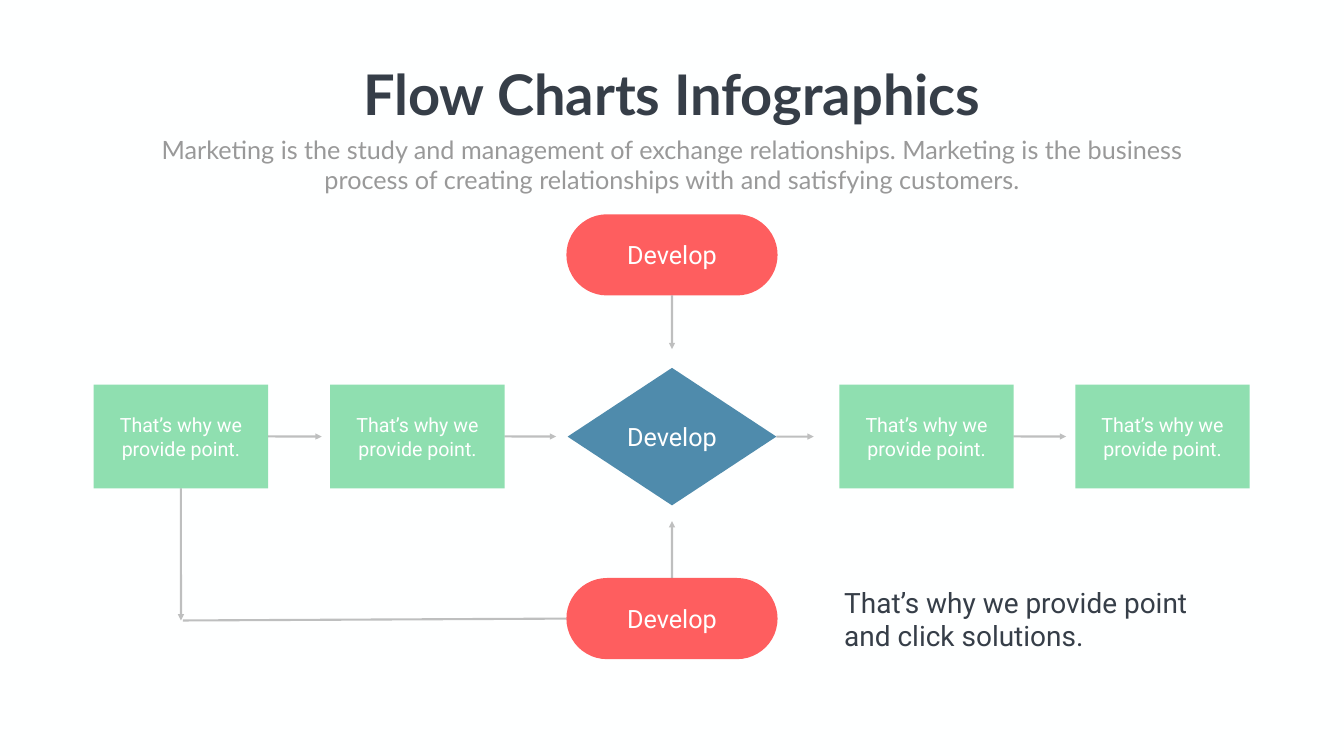
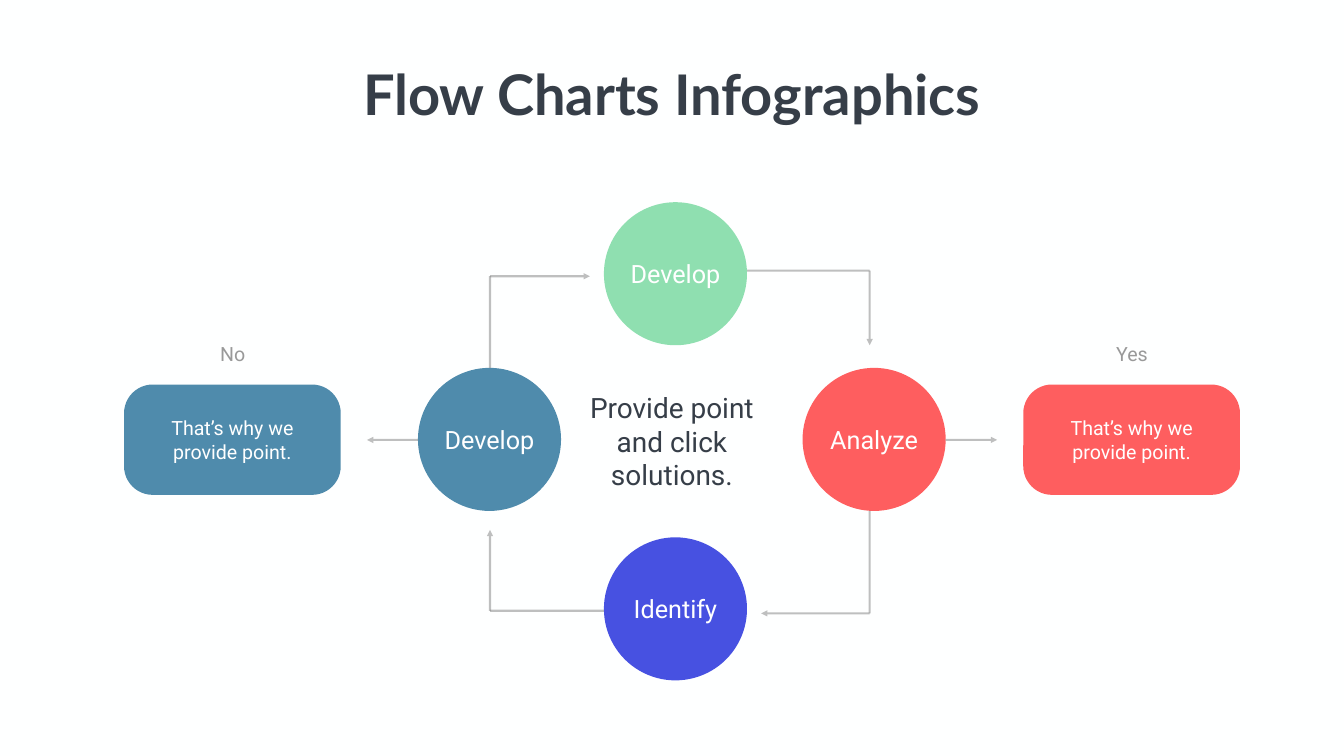
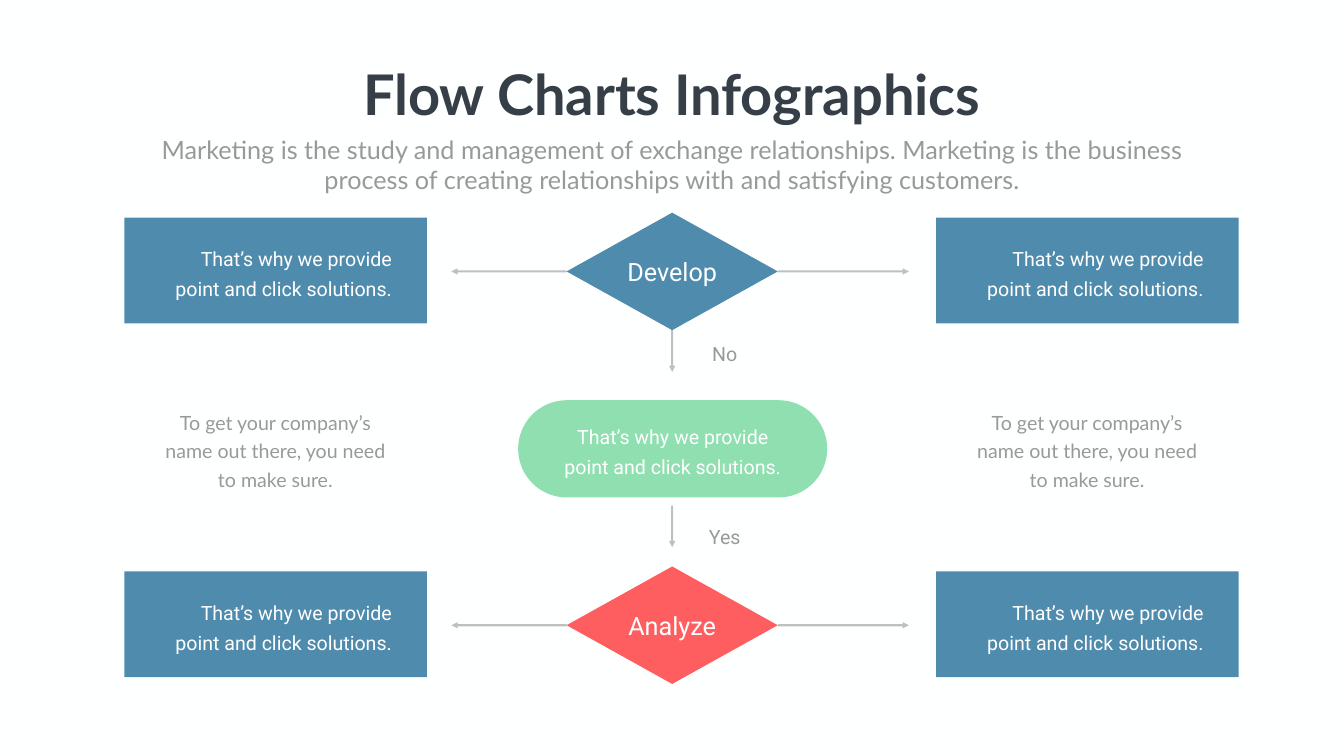
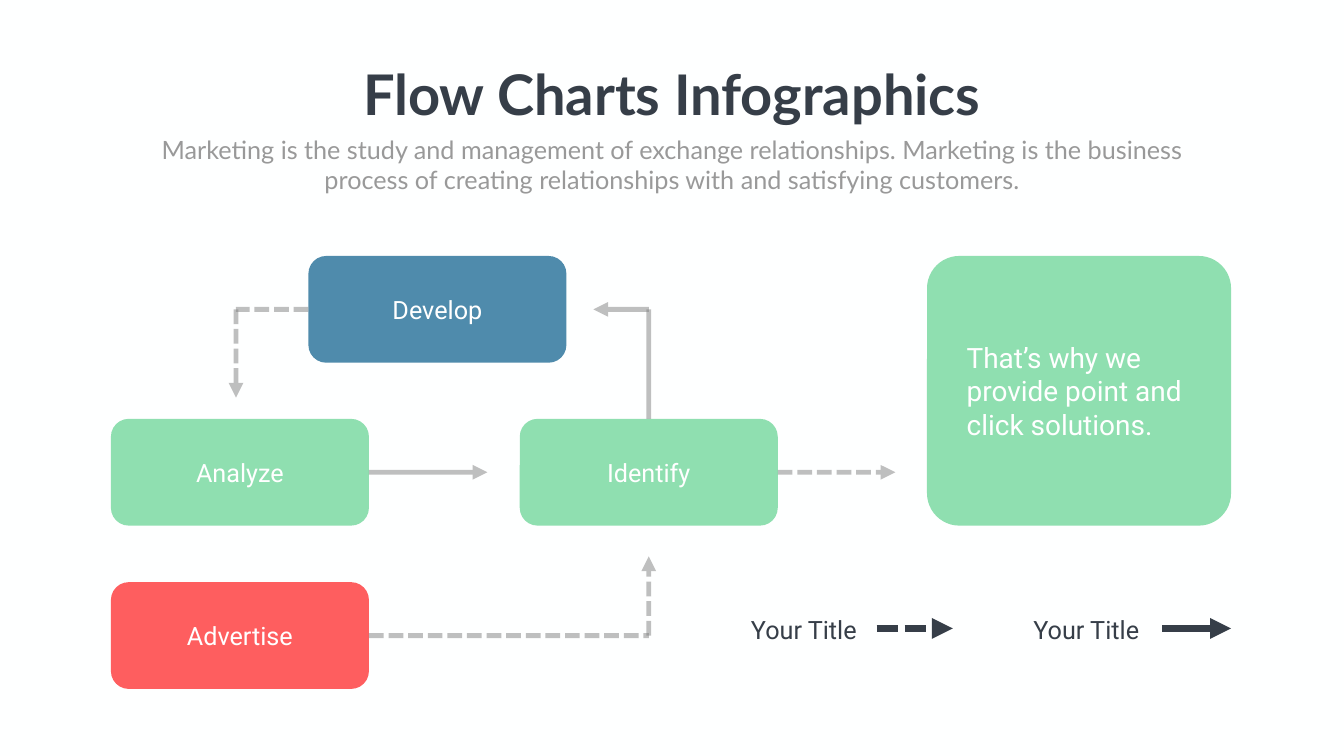
from lxml import etree
from pptx import Presentation
from pptx.dml.color import RGBColor
from pptx.enum.shapes import MSO_CONNECTOR, MSO_SHAPE
from pptx.enum.text import MSO_ANCHOR, PP_ALIGN
from pptx.oxml.ns import qn
from pptx.util import Cm, Pt

RECT = MSO_SHAPE.RECTANGLE
ROUNDED = MSO_SHAPE.ROUNDED_RECTANGLE
DIAMOND = MSO_SHAPE.DIAMOND
CIRCLE = MSO_SHAPE.OVAL
STRAIGHT = MSO_CONNECTOR.STRAIGHT
MIDDLE = MSO_ANCHOR.MIDDLE
LEFT, CENTER, RIGHT = PP_ALIGN.LEFT, PP_ALIGN.CENTER, PP_ALIGN.RIGHT
TOP_SIDE, LEFT_SIDE, BOTTOM_SIDE, RIGHT_SIDE = range(4)

COLORS = {
    "paper": "FEFFFF", "white": "FFFFFF", "ink": "363E48", "muted": "999999",
    "arrow": "808080", "green": "8FDFB0", "blue": "4F8BAC", "red": "FE5E5F",
    "indigo": "4751E1",
}
TITLE = "Flow Charts Infographics"
SUBTITLE = ("Marketing is the study and management of exchange relationships. "
            "Marketing is the business process of creating relationships with "
            "and satisfying customers.")
SHORT = "That’s why we provide point."
LONG = "That’s why we provide point and click solutions."
COMPANY = "To get your company’s name out there, you need to make sure."


def add_box(slide, box, text, size=36, color="white", kind=None, fill=None, corner=None,
            font="Roboto", align=CENTER, bold=False, wrap=True, inset=0.25, spacing=None):
    """Place a text box, or a filled shape with its label when kind is given."""
    place = [Cm(length) for length in box]
    if kind is None:
        item = slide.shapes.add_textbox(*place)
    else:
        item = slide.shapes.add_shape(kind, *place)
        item.shadow.inherit = False
        item.fill.solid()
        item.fill.fore_color.rgb = RGBColor.from_string(COLORS[fill])
        item.line.fill.background()
        if corner is not None:
            item.adjustments[0] = corner
    frame = item.text_frame
    frame.word_wrap = wrap
    frame.vertical_anchor = MIDDLE
    frame.margin_left = frame.margin_right = Cm(inset)
    paragraph = frame.paragraphs[0]
    paragraph.text = text
    paragraph.alignment = align
    if spacing:
        paragraph.line_spacing = Pt(spacing)
    paragraph.font.name = font
    paragraph.font.size = Pt(size)
    paragraph.font.bold = bold
    paragraph.font.color.rgb = RGBColor.from_string(COLORS[color])
    return item


def add_route(slide, *points, start=None, width=3, color="arrow", opacity=50,
              dashed=False, arrow=True):
    """Draw straight connectors through points; start is a (shape, side) to join."""
    if start:
        points = points[:1] + points
    for leg, (begin, end) in enumerate(zip(points, points[1:])):
        line = slide.shapes.add_connector(STRAIGHT, *[Cm(v) for v in begin + end])
        if start and leg == 0:
            line.begin_connect(*start)
        line.line.width = Pt(width)
        line.line.color.rgb = RGBColor.from_string(COLORS[color])
        outline = line.line._get_or_add_ln()
        if opacity < 100:
            tint = outline.find(".//" + qn("a:srgbClr"))
            etree.SubElement(tint, qn("a:alpha"), val=str(opacity * 1000))
        if dashed:
            etree.SubElement(outline, qn("a:prstDash"), val="sysDash")
        if arrow and leg == len(points) - 2:
            etree.SubElement(outline, qn("a:tailEnd"), type="triangle")
        etree.SubElement(line._element.spPr, qn("a:effectLst"))


prs = Presentation()
prs.slide_width, prs.slide_height = Cm(67.72), Cm(38.1)
paper = prs.slide_master.background.fill
paper.solid()
paper.fore_color.rgb = RGBColor.from_string(COLORS["paper"])

# Shared headings; the cycle slide has no subtitle
slides = []
for has_subtitle in (True, False, True, True):
    slide = prs.slides.add_slide(prs.slide_layouts[6])
    add_box(slide, (17.73, 2.84, 32.26, 3.68), TITLE, 80, "ink", font="Lato",
            bold=True, wrap=False)
    if has_subtitle:
        add_box(slide, (7.42, 6.63, 52.88, 3.33), SUBTITLE, 36, "muted", font="Lato")
    slides.append(slide)
decision, cycle, branches, process = slides

# Slide 1: a row of steps around one decision
steps = [add_box(decision, (x, 19.38, 8.79, 5.23), SHORT, 28, kind=RECT, fill="green",
                 inset=0.92)
         for x in (4.72, 16.64, 42.29, 54.18)]
hub = add_box(decision, (28.6, 18.54, 10.52, 6.93), "Develop", kind=DIAMOND, fill="blue",
              wrap=False)
upper, lower = [add_box(decision, (28.54, y, 10.64, 4.09), "Develop", kind=ROUNDED,
                        fill="red", corner=0.5)
                for y in (10.8, 29.13)]
for source, tip in ((steps[0], 16.21), (steps[1], 28.02), (hub, 41), (steps[2], 53.72)):
    add_route(decision, (tip, 22), start=(source, RIGHT_SIDE))
add_route(decision, (33.86, 17.6), start=(upper, BOTTOM_SIDE))
add_route(decision, (33.86, 26.26), start=(lower, TOP_SIDE))
add_route(decision, (9.12, 31.27), start=(steps[0], BOTTOM_SIDE))
add_route(decision, (9.22, 31.27), start=(lower, LEFT_SIDE), arrow=False)
add_box(decision, (42.29, 29.34, 18.8, 3.68), LONG, 40, "ink", align=LEFT)

# Slide 2: four stages in a cycle with two exits
for x, y, label, fill in ((30.43, 10.19, "Develop", "green"),
                          (40.44, 18.54, "Analyze", "red"),
                          (30.43, 27.08, "Identify", "indigo"),
                          (21.06, 18.54, "Develop", "blue")):
    add_box(cycle, (x, y, 7.21, 7.21), label, kind=CIRCLE, fill=fill, wrap=False)
for x, fill, answer in ((6.25, "blue", "No"), (51.56, "red", "Yes")):
    add_box(cycle, (x, 19.38, 10.92, 5.56), SHORT, 28, kind=ROUNDED, fill=fill,
            corner=0.26, inset=0.86)
    add_box(cycle, (x + 4.14, 17.09, 2.67, 1.45), answer, 28, "muted")
for stops in (
    [(37.64, 13.64), (43.82, 13.64), (43.82, 17.4)],
    [(43.82, 25.75), (43.82, 30.91), (38.35, 30.91)],
    [(30.43, 30.78), (24.69, 30.78), (24.69, 26.7)],
    [(24.69, 18.54), (24.69, 13.92), (29.72, 13.92)],
    [(47.65, 22.17), (50.24, 22.17)],
    [(21.06, 22.17), (18.49, 22.17)],
):
    add_route(cycle, *stops)
add_box(cycle, (29.36, 19.53, 8.99, 5.38), "Provide point and click solutions.", 40, "ink")

# Slide 3: two decisions, each with a branch to either side
for y, label, fill in ((10.72, "Develop", "blue"), (28.55, "Analyze", "red")):
    choice = add_box(branches, (28.55, y, 10.64, 5.92), label, kind=DIAMOND, fill=fill,
                     wrap=False)
    for x, side, tip in ((6.27, LEFT_SIDE, 22.74), (47.17, RIGHT_SIDE, 45.8)):
        add_box(branches, (x, y + 0.25, 15.24, 5.33), LONG, 28, kind=RECT, fill="blue",
                align=RIGHT, inset=1.77, spacing=43)
        add_route(branches, (tip, y + 2.96), start=(choice, side))
    if label == "Develop":
        add_route(branches, (33.87, 18.75), start=(choice, BOTTOM_SIDE))
add_box(branches, (26.11, 20.17, 15.57, 4.9), LONG, 28, kind=ROUNDED, fill="green",
        corner=0.5, inset=1.22, spacing=43)
add_route(branches, (33.87, 25.48), (33.87, 27.58))
for x in (7.59, 48.49):
    add_box(branches, (x, 20.35, 12.57, 4.5), COMPANY, 28, "muted", font="Lato", spacing=40.8)
for y, answer in ((17.09, "No"), (26.34, "Yes")):
    add_box(branches, (35.18, y, 2.67, 1.45), answer, 28, "muted")

# Slide 4: process with solid and dashed routes
develop, analyze, identify, advertise = [
    add_box(process, (x, y, 13, 5.38), label, kind=ROUNDED, fill=fill)
    for x, y, label, fill in ((15.54, 12.9, "Develop", "blue"),
                              (5.59, 21.11, "Analyze", "green"),
                              (26.19, 21.11, "Identify", "green"),
                              (5.59, 29.34, "Advertise", "red"))]
add_box(process, (46.71, 12.9, 15.32, 13.59), LONG, 40, kind=ROUNDED, fill="green",
        corner=0.12, align=LEFT, inset=1.52)
for source, side, dashed, stops in (
    (analyze, RIGHT_SIDE, False, [(24.56, 23.8)]),
    (identify, RIGHT_SIDE, True, [(45.11, 23.8)]),
    (develop, LEFT_SIDE, True, [(11.89, 15.59), (11.89, 20.04)]),
    (identify, TOP_SIDE, False, [(32.69, 15.59), (29.9, 15.59)]),
    (advertise, RIGHT_SIDE, True, [(32.69, 32.03), (32.69, 28.04)]),
):
    add_route(process, *stops, start=(source, side), width=7, dashed=dashed)

# Legend for the two kinds of route
for x, tail, tip, dashed in ((37.59, 44.17, 48.01, True), (51.82, 58.55, 62.03, False)):
    add_box(process, (x, 30.81, 6.86, 1.8), "Your Title", 36, "ink", align=LEFT)
    add_route(process, (tail, 31.67), (tip, 31.67), width=10, color="ink", opacity=100,
              dashed=dashed)

prs.save("out.pptx")
